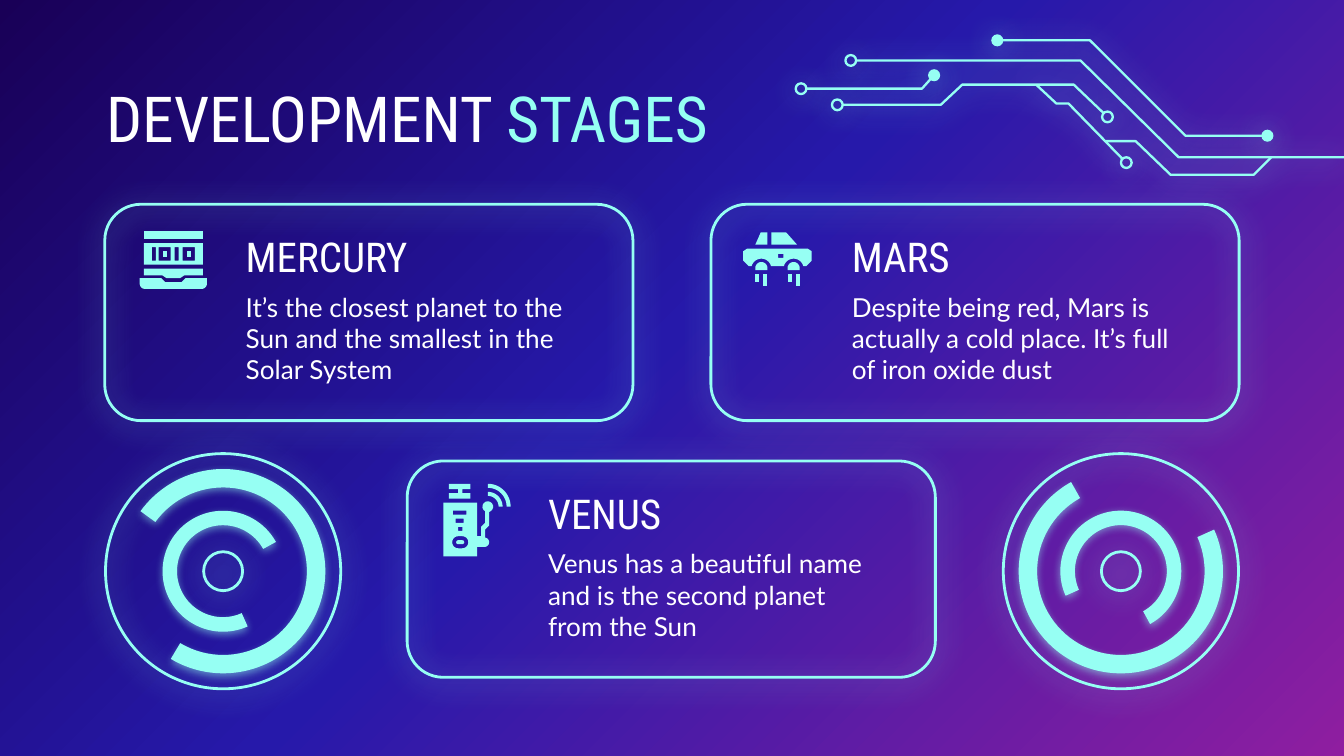
import copy
import math

from lxml import etree
from pptx import Presentation
from pptx import util as u
from pptx.dml.color import RGBColor
from pptx.enum import shapes, text
from pptx.oxml.ns import qn

SCALE = 9144
WIDTH = 1000
AQUA = RGBColor(0x96, 0xFF, 0xF3)
WHITE = RGBColor(0xFF, 0xFF, 0xFF)
NAVY = RGBColor(0x19, 0x00, 0x57)
BLUE = RGBColor(0x26, 0x19, 0xAA)
PURPLE = RGBColor(0x8F, 0x1E, 0xA0)
HEADING_FONT = "Roboto Condensed"
BODY_FONT = "Lato"
WIDE_GLOW = (67, 15.8)
TIGHT_GLOW = (50, 4.5)
KIND = shapes.MSO_SHAPE


def px(length):
    return u.Emu(round(length * SCALE))


def rect(left, top, right, bottom):
    return [(left, top), (right, top), (right, bottom), (left, bottom)]


def arc(x, y, radius, start, end, steps=12):
    angles = [math.radians(start + (end - start) * i / steps) for i in range(steps + 1)]
    return [(x + radius * math.cos(a), y + radius * math.sin(a)) for a in angles]


class Board:
    def __init__(self, slide):
        self.slide = slide

    def background(self, stops):
        fill = self.slide.background.fill
        fill.gradient()
        fill.gradient_angle = 315
        stop_list = self.slide.element.xpath(".//a:gsLst")[0]
        while len(stop_list) < len(stops):
            stop_list.append(copy.deepcopy(stop_list[-1]))
        for stop, (position, color) in zip(fill.gradient_stops, stops):
            stop.position = position
            stop.color.rgb = color

    def paint(self, shape, fill, line, glow):
        if fill:
            shape.fill.solid()
            shape.fill.fore_color.rgb = fill
        else:
            shape.fill.background()
        if line:
            shape.line.color.rgb = AQUA
            shape.line.width = u.Pt(line)
        else:
            shape.line.fill.background()
        shape.shadow.inherit = False
        if glow:
            alpha, blur = glow
            effects = shape.element.xpath("./p:spPr/a:effectLst")[0]
            shadow = etree.SubElement(effects, qn("a:outerShdw"), blurRad=str(u.Pt(blur)),
                                      dist=str(u.Pt(1.5)), dir="5400000", algn="bl", rotWithShape="0")
            color = etree.SubElement(shadow, qn("a:srgbClr"), val=str(AQUA))
            etree.SubElement(color, qn("a:alpha"), val=str(alpha * 1000))

    def shape(self, kind, box, fill=None, line=None, glow=None, adjustments=(), rotation=0):
        shape = self.slide.shapes.add_shape(kind, *map(px, box))
        for index, value in enumerate(adjustments):
            shape.adjustments[index] = value
        shape.rotation = rotation
        self.paint(shape, fill, line, glow)

    def disc(self, x, y, diameter, kind=KIND.OVAL, **style):
        self.shape(kind, (x - diameter / 2, y - diameter / 2, diameter, diameter), **style)

    def outline(self, contours, fill=AQUA, line=None, glow=None):
        points = [[(px(x), px(y)) for x, y in contour] for contour in contours]
        builder = self.slide.shapes.build_freeform(*points[0][0], scale=1.0)
        for index, contour in enumerate(points):
            if index:
                builder.move_to(*contour[0])
            builder.add_line_segments(contour[1:], close=fill is not None)
        self.paint(builder.convert_to_shape(), fill, line, glow)

    def trace(self, lines, rings=(), dots=()):
        self.outline(lines, fill=None, line=1.25, glow=WIDE_GLOW)
        for x, y in rings:
            self.disc(x, y, 8, line=1.25, glow=WIDE_GLOW)
        for x, y in dots:
            self.disc(x, y, 9, fill=AQUA, glow=WIDE_GLOW)

    def label(self, box, runs, size, font, inset=10, anchor=text.MSO_ANCHOR.MIDDLE):
        frame = self.slide.shapes.add_textbox(*map(px, box)).text_frame
        frame.word_wrap = True
        frame.vertical_anchor = anchor
        frame.margin_left = frame.margin_right = px(inset)
        frame.margin_top = frame.margin_bottom = px(inset)
        paragraph = frame.paragraphs[0]
        paragraph.font.size = u.Pt(size)
        paragraph.font.name = font
        for words, color in runs:
            run = paragraph.add_run()
            run.text = words
            run.font.color.rgb = color

    def card(self, left, top, name, description):
        self.shape(KIND.ROUNDED_RECTANGLE, (left, top, 393, 161), line=1.5,
                   glow=WIDE_GLOW, adjustments=[0.167])
        self.label((left + 95, top + 17, 256, 43), [(name, WHITE)], 22, HEADING_FONT)
        self.label((left + 95, top + 60, 256, 79), [(description, WHITE)], 14, BODY_FONT)

    def gauge(self, x, y, outer_rotation, inner_rotation):
        for diameter in (175, 29):
            self.disc(x, y, diameter, line=1.5, glow=WIDE_GLOW)
        for diameter, end, thickness, rotation in ((152, 18.5, 0.09, outer_rotation),
                                                   (90, 18.62, 0.12, inner_rotation)):
            self.disc(x, y, diameter, kind=KIND.BLOCK_ARC, fill=AQUA, glow=TIGHT_GLOW,
                      adjustments=[75.58, end, thickness], rotation=rotation)


def draw_circuit(board):
    board.trace([[(600, 66), (686, 66), (695, 56)]], rings=[(596, 66)], dots=[(695, 56)])
    board.trace([[(742, 30), (811, 30), (882, 101), (943, 101)]], dots=[(742, 30), (943, 101)])
    board.trace([[(637, 45), (804, 45), (877, 117), (1000, 117)],
                 [(627, 78), (700, 78), (716, 63), (799, 63), (821, 84)],
                 [(771, 63), (786, 77), (795, 77), (835, 118)],
                 [(823, 105), (845, 105), (871, 130), (933, 130), (946, 117)]],
                rings=[(633, 45), (623, 78), (824, 87), (838, 121)])


def draw_computer(board):
    board.outline([rect(107, 172, 151, 178)])
    digits = [(113, 116), (118, 127), (130, 133), (136, 145)]
    board.outline([rect(107, 181, 151, 197)] + [rect(a, 184, b, 194) for a, b in digits])
    for left in (121, 139):
        board.outline([rect(left, 187, left + 3, 191)])
    board.outline([[(107, 200), (107, 205), (121, 205), (124, 207), (134, 207),
                    (137, 205), (151, 205), (151, 200)]])
    board.outline([[(104, 207), *arc(108, 211, 4, 180, 90), *arc(150, 211, 4, 90, 0),
                    (154, 207), (138, 207), (135, 210), (123, 210), (120, 207)]])


def draw_car(board):
    board.outline([[(566, 173), (562, 182), (571, 182), (571, 173)]])
    board.outline([[(574, 173), (574, 182), (593, 182), (585, 173)]])
    board.outline([[(556, 185), (553, 187), (553, 194), (557, 198), *arc(566.5, 200, 7.5, 195, 345),
                    *arc(590.5, 200, 7.5, 195, 345), (600, 198), (604, 194), (604, 187), (601, 185)],
                   rect(579, 189, 583, 192)])
    for left in (562, 586):
        board.outline([[*arc(left + 4.5, 199.5, 4.5, 180, 360), (left + 9, 201), (left, 201)]])
        board.outline([rect(left, 204, left + 3, 210)])
        board.outline([rect(left + 6, 204, left + 9, 213)])


def draw_robot(board):
    for radius in (11, 17):
        board.outline([arc(363, 377, radius, 270, 360) + arc(363, 377, radius - 3, 360, 270)])
    board.outline([[(334, 360), (334, 364), (341, 364), (341, 367), (334, 367), (334, 371),
                    (350, 371), (350, 367), (344, 367), (344, 364), (350, 364), (350, 360)]])
    body = [(361, 381), (361, 389), (358, 392), (358, 399), (355, 399), (355, 374), (330, 374),
            (330, 414), (355, 414), (355, 407), *arc(360.5, 403.5, 3.5, 90, -80), (361, 394),
            (364, 391), (364, 381), *arc(363, 377, 4, 60, -240)]
    mouth = arc(341, 403.5, 4.5, 90, 270) + arc(344, 403.5, 4.5, -90, 90)
    board.outline([body, mouth, rect(337, 380, 347, 383), rect(339, 386, 345, 389),
                   rect(341, 392, 344, 395)])
    board.outline([arc(341, 403.5, 1.5, 90, 270) + arc(344, 403.5, 1.5, -90, 90)])


def main():
    presentation = Presentation()
    presentation.slide_width = px(WIDTH)
    presentation.slide_height = px(WIDTH * 9 / 16)
    board = Board(presentation.slides.add_slide(presentation.slide_layouts[6]))
    board.background([(0, NAVY), (0.48, BLUE), (1, PURPLE)])
    board.card(529, 152, "MARS",
               "Despite being red, Mars is actually a cold place. It’s full of iron oxide dust")
    board.card(303, 343, "VENUS",
               "Venus has a beautiful name and is the second planet from the Sun")
    board.card(78, 152, "MERCURY",
               "It’s the closest planet to the Sun and the smallest in the Solar System")
    draw_circuit(board)
    board.label((79, 59, 843, 63), [("DEVELOPMENT ", WHITE), ("STAGES", AQUA)], 34,
                HEADING_FONT, inset=0, anchor=text.MSO_ANCHOR.TOP)
    draw_computer(board)
    draw_car(board)
    draw_robot(board)
    board.gauge(166, 425, 90, 300)
    board.gauge(834, 425, 210, 30)
    presentation.save("out.pptx")


if __name__ == "__main__":
    main()
